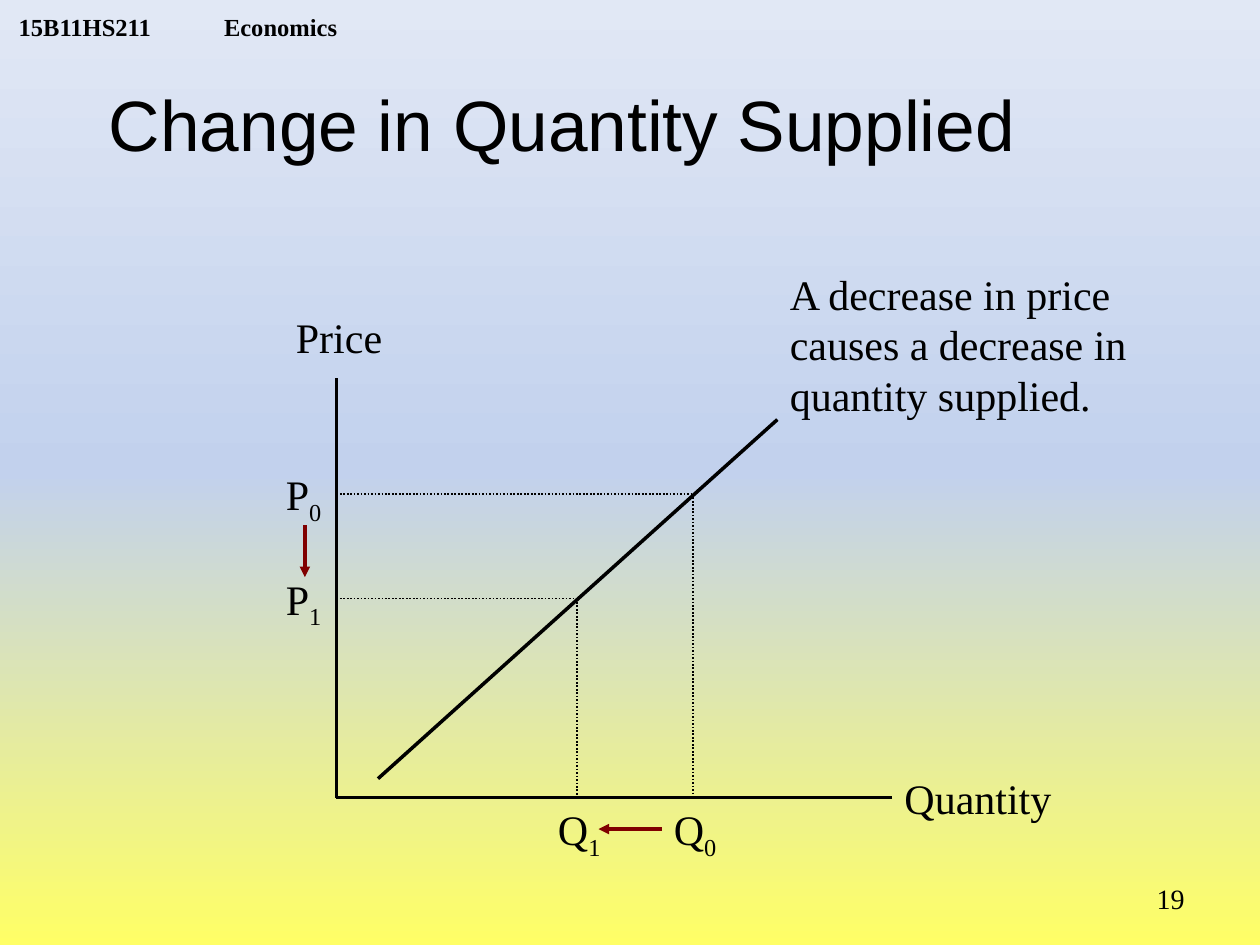
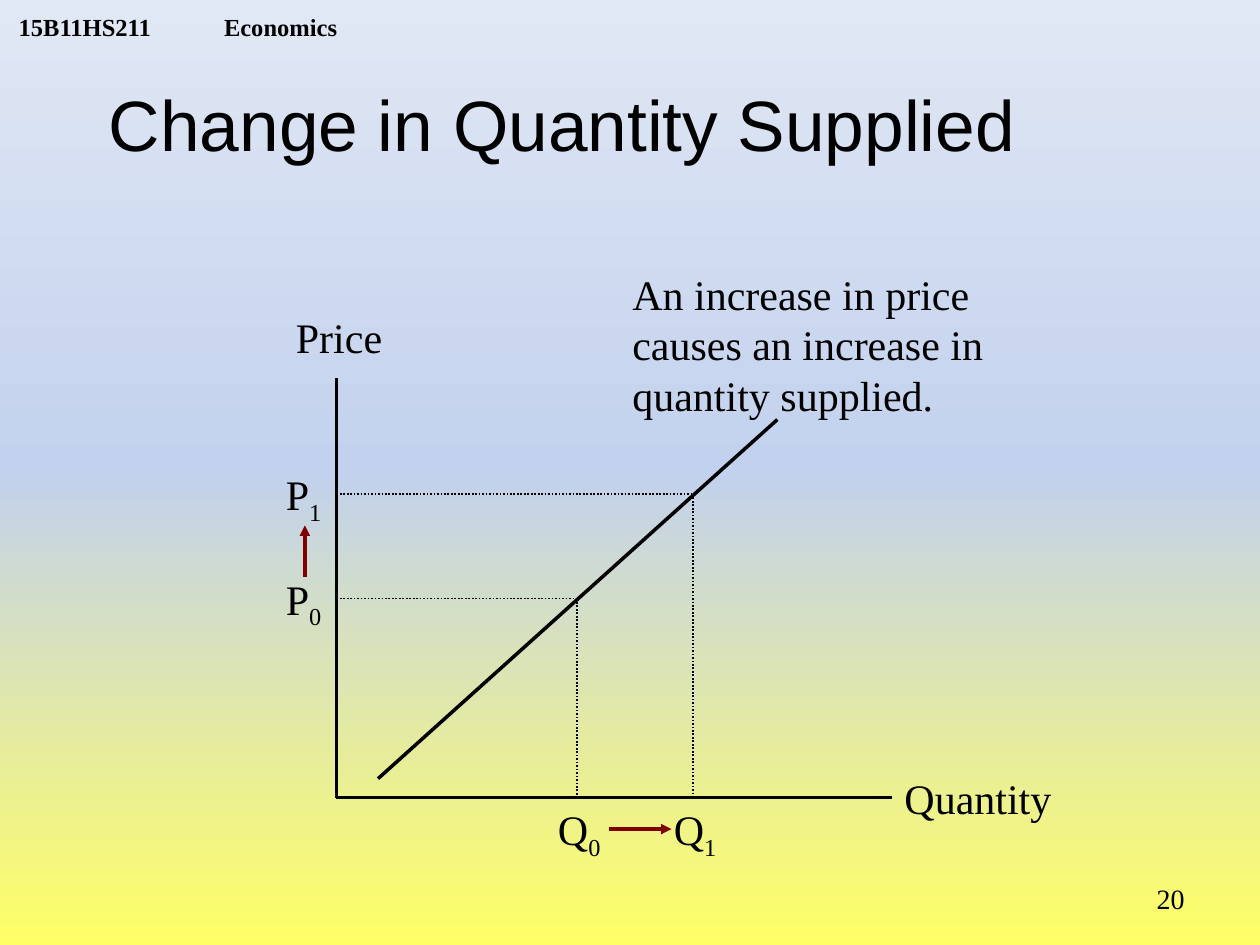
from copy import deepcopy

from lxml import etree
from pptx import Presentation
from pptx.dml.color import RGBColor
from pptx.enum.dml import MSO_LINE
from pptx.enum.shapes import MSO_CONNECTOR
from pptx.enum.text import MSO_ANCHOR, MSO_AUTO_SIZE, PP_ALIGN
from pptx.oxml.ns import qn
from pptx.util import Inches, Pt

BLACK = RGBColor(0x00, 0x00, 0x00)
MAROON = RGBColor(0x80, 0x00, 0x00)
YELLOW = RGBColor(0xFF, 0xFF, 0x66)
BLUE = RGBColor(0xC2, 0xD1, 0xED)
PALE_BLUE = RGBColor(0xE1, 0xE8, 0xF5)
BACKGROUND = [(0, YELLOW), (0.5, BLUE), (1, PALE_BLUE)]

SERIF = "Times New Roman"
SANS = "Arial"
STRAIGHT = MSO_CONNECTOR.STRAIGHT
DOTTED = MSO_LINE.ROUND_DOT
MIDDLE = MSO_ANCHOR.MIDDLE
BOTTOM = MSO_ANCHOR.BOTTOM
CENTER = PP_ALIGN.CENTER
RIGHT = PP_ALIGN.RIGHT
GROW = MSO_AUTO_SIZE.SHAPE_TO_FIT_TEXT

COURSE = "15B11HS211\tEconomics"
COURSE_TAB = 1.63
TITLE = "Change in Quantity Supplied"

ORIGIN = (2.67, 6.33)
PRICE_AXIS_TOP = 3
QUANTITY_AXIS_END = 7.08
SUPPLY_CURVE = ((3, 6.18), (6.17, 3.33))
LOW_POINT = (4.58, 4.75)
HIGH_POINT = (5.5, 3.92)

SLIDES = [
    {
        "number": "19",
        "note": "A decrease in price causes a decrease in quantity supplied.",
        "note_left": 6.17,
        "low": "1",
        "high": "0",
        "arrows": [((2.42, 4.17), (2.42, 4.58)), ((5.25, 6.58), (4.75, 6.58))],
    },
    {
        "number": "20",
        "note": "An increase in price causes an increase in quantity supplied.",
        "note_left": 4.92,
        "low": "0",
        "high": "1",
        "arrows": [((2.42, 4.58), (2.42, 4.17)), ((4.83, 6.58), (5.33, 6.58))],
    },
]


def set_background(master):
    fill = master.background.fill
    fill.gradient()
    fill.gradient_angle = 90
    stop_list = master.element.find(".//" + qn("p:bg")).find(".//" + qn("a:gsLst"))
    stop_list.insert(1, deepcopy(stop_list[0]))
    for stop, (position, color) in zip(fill.gradient_stops, BACKGROUND):
        stop.position = position
        stop.color.rgb = color


def add_span(para, text, size, font=SERIF, bold=False):
    span = para.add_run()
    span.text = text
    span.font.size = Pt(size)
    span.font.name = font
    span.font.bold = bold
    span.font.color.rgb = BLACK
    return span


def add_text(page, place, text, size=24, wrap=True):
    box = page.shapes.add_textbox(*map(Inches, place))
    box.text_frame.word_wrap = wrap
    para = box.text_frame.paragraphs[0]
    add_span(para, text, size)
    return box


def add_label(page, place, text, subscript=""):
    box = add_text(page, place, text, wrap=False)
    box.text_frame.auto_size = GROW
    if subscript:
        span = add_span(box.text_frame.paragraphs[0], subscript, 24)
        span.font._element.set("baseline", "-25000")


def add_line(page, start, end, color=BLACK, width=2, dash=None, arrow=False):
    line = page.shapes.add_connector(STRAIGHT, *map(Inches, (*start, *end)))
    line.line.color.rgb = color
    line.line.width = Pt(width)
    if dash:
        line.line.dash_style = dash
    properties = line.element.spPr
    if arrow:
        etree.SubElement(properties.find(qn("a:ln")), qn("a:tailEnd"), type="triangle")
    etree.SubElement(properties, qn("a:effectLst"))


def add_course(page):
    box = add_text(page, (0.05, 0, 3.2, 0.33), COURSE, 14)
    frame = box.text_frame
    frame.vertical_anchor = BOTTOM
    frame.margin_top = frame.margin_bottom = 0
    para = frame.paragraphs[0]
    tabs = etree.SubElement(para._p.get_or_add_pPr(), qn("a:tabLst"))
    etree.SubElement(tabs, qn("a:tab"), pos=str(Inches(COURSE_TAB)), algn="l")
    para.runs[0].font.bold = True


def set_title(page):
    title = page.shapes.title
    title.left, title.top, title.width, title.height = map(Inches, (0.5, 0.35, 7.92, 1.25))
    title.text_frame.vertical_anchor = MIDDLE
    para = title.text_frame.paragraphs[0]
    para.alignment = CENTER
    add_span(para, TITLE, 40.7, SANS)


def add_axes(page):
    add_line(page, (ORIGIN[0], PRICE_AXIS_TOP), ORIGIN)
    add_line(page, (QUANTITY_AXIS_END, ORIGIN[1]), ORIGIN)
    add_label(page, (QUANTITY_AXIS_END, 6.08, 1.37, 0.5), "Quantity")
    add_label(page, (2.25, 2.42, 0.89, 0.5), "Price")
    add_line(page, *SUPPLY_CURVE)


def add_market_point(page, point, subscript):
    quantity, price = point
    add_line(page, (ORIGIN[0], price), point, width=1, dash=DOTTED)
    add_line(page, point, (quantity, ORIGIN[1]), width=1, dash=DOTTED)
    add_label(page, (ORIGIN[0] - 0.5, price - 0.25, 0.5, 0.5), "P", subscript)
    add_label(page, (quantity - 0.25, ORIGIN[1], 0.55, 0.5), "Q", subscript)


def build_slide(deck, content):
    page = deck.slides.add_slide(deck.slide_layouts[5])
    add_course(page)
    set_title(page)
    add_axes(page)
    add_market_point(page, LOW_POINT, content["low"])
    add_market_point(page, HIGH_POINT, content["high"])
    for start, end in content["arrows"]:
        add_line(page, start, end, MAROON, arrow=True)
    note = add_text(page, (content["note_left"], 2.08, 3.08, 1.3), content["note"])
    note.text_frame.auto_size = GROW
    number = add_text(page, (7.17, 6.95, 2.33, 0.4), content["number"], 16)
    number.text_frame.paragraphs[0].alignment = RIGHT


def main():
    deck = Presentation()
    deck.slide_width, deck.slide_height = Inches(10), Inches(7.5)
    set_background(deck.slide_master)
    for content in SLIDES:
        build_slide(deck, content)
    deck.save("out.pptx")


if __name__ == "__main__":
    main()
